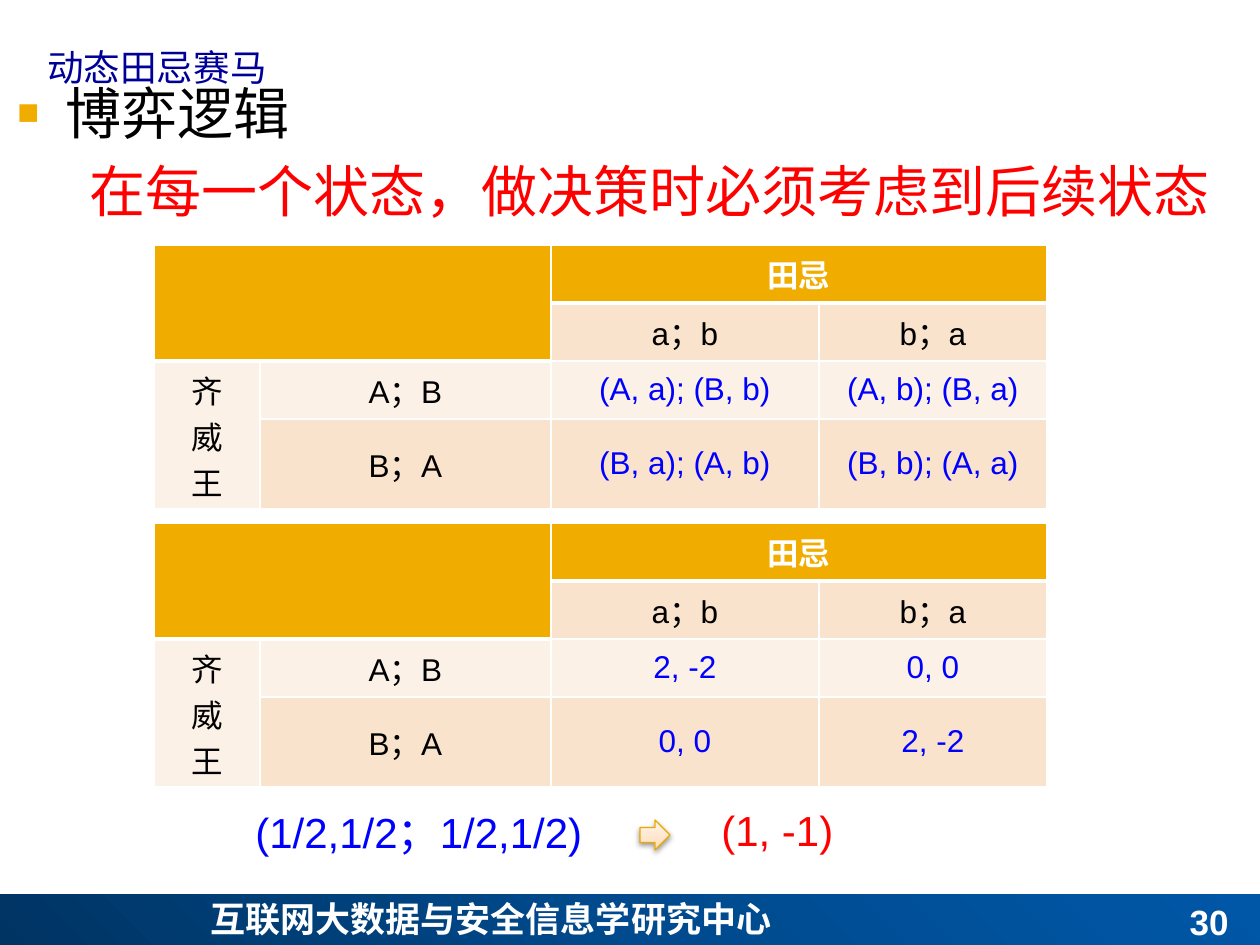
from lxml import etree
from pptx import Presentation
from pptx.enum.shapes import MSO_SHAPE
from pptx.enum.text import MSO_ANCHOR, PP_ALIGN
from pptx.dml.color import RGBColor
from pptx.oxml import parse_xml
from pptx.oxml.ns import qn
from pptx.util import Pt

PX = 7257  # EMU per px, 126 px to the inch
NS = 'xmlns:a="http://schemas.openxmlformats.org/drawingml/2006/main"'
LEFT, MID, RIGHT = PP_ALIGN.LEFT, PP_ALIGN.CENTER, PP_ALIGN.RIGHT
TOP, CENTER, BOTTOM = MSO_ANCHOR.TOP, MSO_ANCHOR.MIDDLE, MSO_ANCHOR.BOTTOM
HAN = "Noto Sans CJK SC"
HEX = {
    "white": "FFFFFF", "black": "000000", "red": "FF0000", "blue": "0000FF",
    "navy": "000099", "gold": "F0AD00", "edge": "EBA900",
    "sand": "F9E3CC", "cream": "FCF1E7",
}


def write(par, text, size, color, font="Arial", bold=False):
    """Add one run, with the Han font for its East Asian letters."""
    run = par.add_run()
    run.text = text
    run.font.size = Pt(size)
    run.font.bold = bold
    run.font.name = font
    run.font.color.rgb = RGBColor.from_string(HEX[color])
    han = etree.SubElement(run.font._element, qn("a:ea"))
    han.set("typeface", HAN)
    return run


def blend(shape, stops, course):
    """Give a shape a gradient fill; course is its a:lin or a:path element."""
    marks = "".join(f'<a:gs pos="{pos}000"><a:srgbClr val="{rgb}"/></a:gs>'
                    for pos, rgb in stops)
    grad = parse_xml(f'<a:gradFill {NS} rotWithShape="1"><a:gsLst>{marks}</a:gsLst>'
                     f'{course}</a:gradFill>')
    shape._element.spPr.find(qn("a:prstGeom")).addnext(grad)


deck = Presentation()
deck.slide_width, deck.slide_height = 1260 * PX, 945 * PX
slide = deck.slides.add_slide(deck.slide_layouts[6])
shapes = slide.shapes

# Footer bar
bar = shapes.add_shape(MSO_SHAPE.RECTANGLE, 0, 894 * PX, 1260 * PX, 55 * PX)
bar.shadow.inherit = False
bar.line.fill.background()
blend(bar, [(0, "003463"), (50, "004A8D"), (100, "0057A7")],
      '<a:path path="circle"><a:fillToRect t="100000" r="100000"/></a:path>')

# Single lines of text: place, anchor, alignment, text, size, colour, font, bold
lines = [
    ((198, 891, 863, 55), TOP, LEFT, "互联网大数据与安全信息学研究中心", 20, "white", HAN, True),
    ((35, -4, 1225, 100), CENTER, LEFT, "动态田忌赛马", 36, "navy", HAN, False),
    ((947, 894, 294, 55), BOTTOM, RIGHT, "30", 20, "white", "Arial", True),
    ((243, 800, 456, 63), TOP, LEFT, "(1/2,1/2；1/2,1/2)", 24, "blue", "Arial", False),
    ((709, 798, 149, 63), TOP, LEFT, "(1, -1)", 24, "red", "Arial", False),
]
for place, anchor, align, text, size, color, font, bold in lines:
    frame = shapes.add_textbox(*[n * PX for n in place]).text_frame
    frame.word_wrap = True
    frame.vertical_anchor = anchor
    par = frame.paragraphs[0]
    par.alignment = align
    run = write(par, text, size, color, font, bold)
    if color == "navy":
        run.font._element.set("baseline", "-25000")

# Body: a bulleted heading and a centred claim
body = shapes.add_textbox(5 * PX, 72 * PX, 1290 * PX, 808 * PX).text_frame
body.word_wrap = True
head = body.paragraphs[0]
props = head._p.get_or_add_pPr()
props.set("marL", str(48 * PX))
props.set("indent", str(-48 * PX))
for mark in (f'<a:buClr {NS}><a:srgbClr val="{HEX["gold"]}"/></a:buClr>',
             f'<a:buSzPct {NS} val="65000"/>',
             f'<a:buFont {NS} typeface="Arial"/>',
             f'<a:buChar {NS} char="■"/>'):
    props.append(parse_xml(mark))
write(head, "博弈逻辑", 32, "black", "Times New Roman")
claim = body.add_paragraph()
claim.alignment = MID
claim.space_before = Pt(6.4)
write(claim, "在每一个状态，做决策时必须考虑到后续状态", 32, "red", "Times New Roman")

# Two game tables, alike but for their outcomes
games = [
    (245, [["(A, a); (B, b)", "(A, b); (B, a)"], ["(B, a); (A, b)", "(B, b); (A, a)"]]),
    (523, [["2, -2", "0, 0"], ["0, 0", "2, -2"]]),
]
widths = [106, 291, 268, 228]
heights = [58, 58, 58, 90]  # the last leaves room for the king's three letters
fills = ["gold", "sand", "cream", "sand"]
for top, results in games:
    grid = shapes.add_table(4, 4, 154 * PX, top * PX,
                            sum(widths) * PX, sum(heights) * PX).table
    for col, width in zip(grid.columns, widths):
        col.width = width * PX
    for row, height in zip(grid.rows, heights):
        row.height = height * PX
    texts = [
        ["", "", "田忌", ""],
        ["", "", "a；b", "b；a"],
        ["齐威王", "A；B", *results[0]],
        ["", "B；A", *results[1]],
    ]
    for r, row in enumerate(texts):
        for c, text in enumerate(row):
            cell = grid.cell(r, c)
            cell.vertical_anchor = CENTER
            corner = r < 2 and c < 2
            thick = corner or r == 0
            tcpr = cell._tc.get_or_add_tcPr()
            for side in "LRTB":
                wide = Pt(3 if side == "B" and thick else 1)
                tcpr.append(parse_xml(
                    f'<a:ln{side} {NS} w="{wide}"><a:solidFill>'
                    f'<a:srgbClr val="{HEX["white"]}"/></a:solidFill></a:ln{side}>'))
            cell.fill.solid()
            cell.fill.fore_color.rgb = RGBColor.from_string(
                HEX["gold" if corner else "cream" if c == 0 else fills[r]])
            color = "white" if r == 0 else "blue" if r > 1 and c > 1 else "black"
            # The king's name runs downwards, one letter to a paragraph
            for i, part in enumerate(text if c == 0 else [text] if text else []):
                par = cell.text_frame.add_paragraph() if i else cell.text_frame.paragraphs[0]
                par.alignment = MID
                write(par, part, 18, color, bold=r == 0)
    for start, end in [((0, 0), (1, 1)), ((0, 2), (0, 3)), ((2, 0), (3, 0))]:
        grid.cell(*start).merge(grid.cell(*end))

# Arrow from the mixed strategies to their value
arrow = shapes.add_shape(MSO_SHAPE.RIGHT_ARROW, 640 * PX, 820 * PX, 30 * PX, 30 * PX)
arrow.line.color.rgb = RGBColor.from_string(HEX["edge"])
arrow.line.width = Pt(0.75)
blend(arrow, [(0, "FFDBB5"), (35, "FFE5CB"), (100, "FFF5EB")],
      '<a:lin ang="16200000" scaled="1"/>')
arrow._element.spPr.append(parse_xml(
    f'<a:effectLst {NS}><a:outerShdw blurRad="{Pt(3.1)}" dist="{Pt(1.6)}" dir="5400000" '
    'rotWithShape="0"><a:srgbClr val="000000"><a:alpha val="38000"/></a:srgbClr>'
    '</a:outerShdw></a:effectLst>'))

deck.save("out.pptx")
